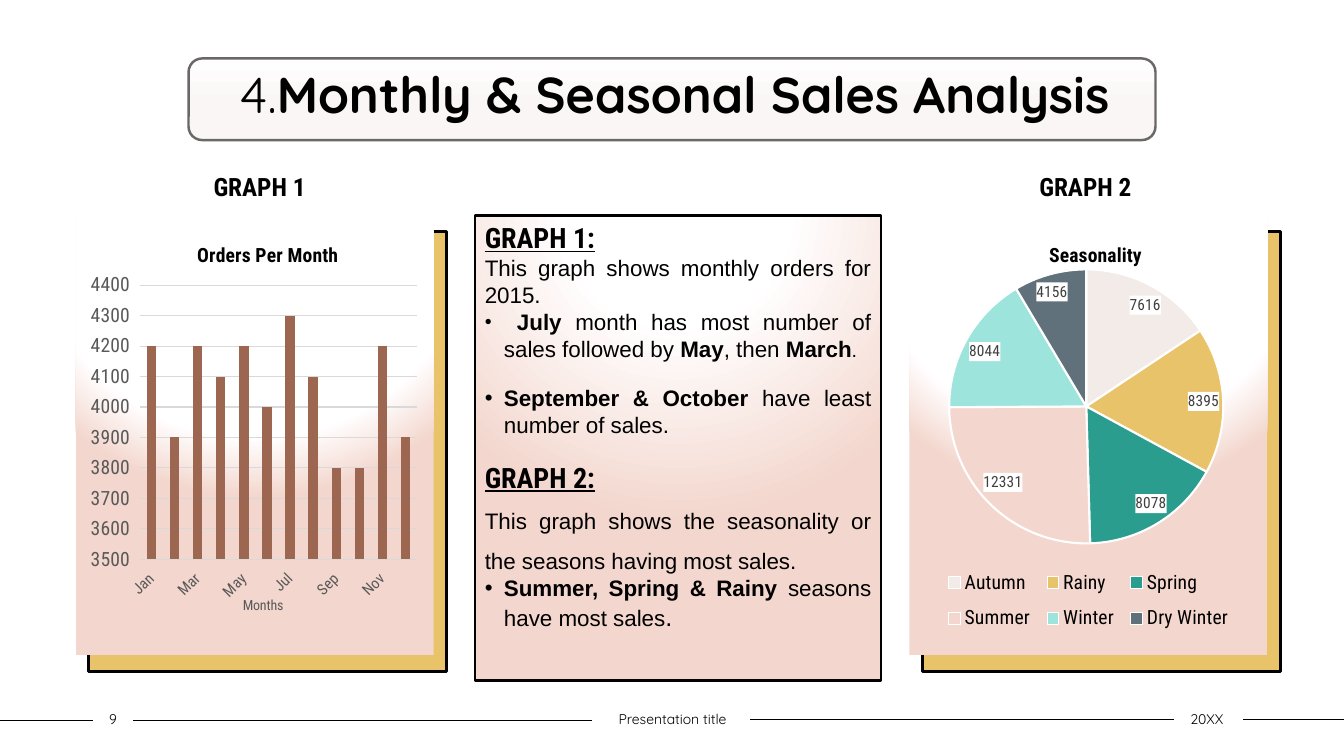
from lxml.etree import SubElement
from pptx import Presentation
from pptx.chart.data import CategoryChartData
from pptx.dml.color import RGBColor
from pptx.enum.chart import XL_CHART_TYPE, XL_LABEL_POSITION, XL_LEGEND_POSITION
from pptx.enum.shapes import MSO_CONNECTOR, MSO_SHAPE
from pptx.enum.text import MSO_ANCHOR, PP_ALIGN
from pptx.oxml import parse_xml
from pptx.oxml.ns import nsdecls, qn
from pptx.util import Inches, Pt

BLACK = RGBColor(0x00, 0x00, 0x00)
WHITE = RGBColor(0xFF, 0xFF, 0xFF)
GOLD = RGBColor(0xE9, 0xC3, 0x69)
PINK = RGBColor(0xF3, 0xD6, 0xCD)
BROWN = RGBColor(0x9C, 0x66, 0x51)
DARK_GREY = RGBColor(0x40, 0x40, 0x40)
AXIS_GREY = RGBColor(0x59, 0x59, 0x59)
GRID_GREY = RGBColor(0xD9, 0xD9, 0xD9)
PLATE_GREY = RGBColor(0x6B, 0x67, 0x66)
PLATE_STOPS = [(0, RGBColor(0xFE, 0xFE, 0xFE)), (58, RGBColor(0xFA, 0xF6, 0xF5)),
               (74, RGBColor(0xFA, 0xF6, 0xF5)), (100, RGBColor(0xFB, 0xF9, 0xF8))]
CHART_STOPS = [(0, WHITE), (78, WHITE), (100, PINK)]
NOTES_STOPS = [(0, WHITE), (35, WHITE), (100, PINK)]
LINEAR = '<a:lin ang="5400000" scaled="0"/>'
RADIAL = ('<a:path path="circle"><a:fillToRect l="50000" t="-80000" '
          'r="50000" b="180000"/></a:path>')

HEADING_FONT, CONDENSED, BODY_FONT = "Quicksand", "Roboto Condensed", "Arial"
MONTHLY_ORDERS = {"Jan": 4200, "Feb": 3900, "Mar": 4200, "Apr": 4100, "May": 4200,
                  "Jun": 4000, "Jul": 4300, "Aug": 4100, "Sep": 3800, "Oct": 3800,
                  "Nov": 4200, "Dec": 3900}
SEASON_SALES = {"Autumn": 7616, "Rainy": 8395, "Spring": 8078, "Summer": 12331,
                "Winter": 8044, "Dry Winter": 4156}
SEASON_COLORS = [RGBColor(0xF3, 0xEB, 0xE8), GOLD, RGBColor(0x2A, 0x9D, 0x8F), PINK,
                 RGBColor(0x9D, 0xE5, 0xDC), RGBColor(0x60, 0x71, 0x7C)]


def style_font(font, size, name, color=BLACK, bold=False, underline=False):
    font.size, font.name = Pt(size), name
    font.bold, font.underline = bold, underline
    font.color.rgb = color


def add_span(para, text, **style):
    span = para.add_run()
    span.text = text
    style_font(span.font, **style)


def gradient_xml(stops, direction):
    marks = "".join(f'<a:gs pos="{pos * 1000}"><a:srgbClr val="{color}"/></a:gs>'
                    for pos, color in stops)
    return (f'<a:gradFill {nsdecls("a")} rotWithShape="1"><a:gsLst>{marks}</a:gsLst>'
            f'{direction}</a:gradFill>')


def add_panel(slide, kind, place, line_color, line_width, fill=None, gradient=None):
    panel = slide.shapes.add_shape(kind, *map(Inches, place))
    panel.shadow.inherit = False
    if gradient:
        geometry = panel._element.spPr.find(qn("a:prstGeom"))
        geometry.addnext(parse_xml(gradient))
    else:
        panel.fill.solid()
        panel.fill.fore_color.rgb = fill
    panel.line.color.rgb = line_color
    panel.line.width = Pt(line_width)
    return panel


def add_label(slide, text, place, side_inset=0.1, anchor=MSO_ANCHOR.TOP, **style):
    frame = slide.shapes.add_textbox(*map(Inches, place)).text_frame
    frame.word_wrap = True
    frame.vertical_anchor = anchor
    frame.margin_left = frame.margin_right = Inches(side_inset)
    para = frame.paragraphs[0]
    para.alignment = PP_ALIGN.CENTER
    add_span(para, text, **style)


def add_rule(slide, left, right, y):
    rule = slide.shapes.add_connector(MSO_CONNECTOR.STRAIGHT, Inches(left), Inches(y),
                                      Inches(right), Inches(y))
    rule.line.color.rgb = BLACK
    rule.line.width = Pt(1)
    SubElement(rule._element.spPr, qn("a:effectLst"))


def set_layout(element, inner=False, **fractions):
    """Place a chart part by fractions of the chart's size."""
    for old in element.findall(qn("c:layout")):
        element.remove(old)
    target = '<c:layoutTarget val="inner"/>' if inner else ""
    sizes = "".join(f'<c:{key} val="{value}"/>' for key, value in fractions.items())
    layout = parse_xml(
        f'<c:layout {nsdecls("c")}><c:manualLayout>{target}<c:xMode val="edge"/>'
        f'<c:yMode val="edge"/>{sizes}</c:manualLayout></c:layout>')
    overlay = element.find(qn("c:overlay"))
    if overlay is None:
        element.insert(0, layout)
    else:
        overlay.addprevious(layout)


def set_title(owner, text, x, y, **style):
    owner.has_title = True
    title = owner.chart_title if hasattr(owner, "chart_title") else owner.axis_title
    add_span(title.text_frame.paragraphs[0], text, **style)
    set_layout(title._element, x=x, y=y)


def add_chart(slide, kind, values, left, title, title_x, plot):
    data = CategoryChartData()
    data.categories = list(values)
    data.add_series("Series 1", list(values.values()))
    chart = slide.shapes.add_chart(kind, Inches(left), Inches(2.14), Inches(3.55),
                                   Inches(4.36), data).chart
    style_font(chart.font, 10, CONDENSED)
    set_title(chart, title, title_x, 0.05, size=14, name=CONDENSED, bold=True)
    chart.has_legend = False
    space = chart._chartSpace
    space.find(qn("c:chart")).addnext(parse_xml(
        f'<c:spPr {nsdecls("c", "a")}>{gradient_xml(CHART_STOPS, RADIAL)}'
        '<a:ln><a:noFill/></a:ln></c:spPr>'))
    x, y, w, h = plot
    set_layout(space.find(".//" + qn("c:plotArea")), inner=True, x=x, y=y, w=w, h=h)
    return chart


def add_orders_chart(slide):
    chart = add_chart(slide, XL_CHART_TYPE.COLUMN_STACKED, MONTHLY_ORDERS, 0.75,
                      "Orders Per Month", 0.33, (0.18, 0.158, 0.774, 0.624))
    plot = chart.plots[0]
    plot.vary_by_categories = False
    plot.gap_width, plot.overlap = 150, 100
    bars = plot.series[0].format.fill
    bars.solid()
    bars.fore_color.rgb = BROWN
    for axis, size in ((chart.category_axis, 11), (chart.value_axis, 14)):
        style_font(axis.tick_labels.font, size, CONDENSED, AXIS_GREY)
        axis.format.line.fill.background()
    months, orders = chart.category_axis, chart.value_axis
    set_title(months, "Months", 0.46, 0.86, size=10, name=CONDENSED, color=AXIS_GREY)
    months._element.find(qn("c:txPr")).find(qn("a:bodyPr")).set("rot", "-2700000")
    orders.minimum_scale, orders.maximum_scale, orders.major_unit = 3500, 4400, 100
    orders.major_gridlines.format.line.color.rgb = GRID_GREY
    orders.major_gridlines.format.line.width = Pt(0.75)


def add_season_chart(slide):
    chart = add_chart(slide, XL_CHART_TYPE.PIE, SEASON_SALES, 9.02,
                      "Seasonality", 0.38, (0.111, 0.122, 0.766, 0.624))
    plot = chart.plots[0]
    plot.vary_by_categories = True
    for index, color in enumerate(SEASON_COLORS):
        wedge = plot.series[0].points[index].format
        wedge.fill.solid()
        wedge.fill.fore_color.rgb = color
        wedge.line.color.rgb = WHITE
        wedge.line.width = Pt(1.5)
    labels = plot.series[0].data_labels
    labels.show_value = True
    labels.position = XL_LABEL_POSITION.BEST_FIT
    style_font(labels.font, 11, CONDENSED, DARK_GREY)
    labels._element.find(qn("c:txPr")).addprevious(parse_xml(
        f'<c:spPr {nsdecls("c", "a")}><a:solidFill><a:srgbClr val="{WHITE}"/>'
        '</a:solidFill></c:spPr>'))
    chart.has_legend = True
    chart.legend.position = XL_LEGEND_POSITION.RIGHT
    chart.legend.include_in_layout = False
    style_font(chart.legend.font, 14, CONDENSED)
    set_layout(chart.legend._element, x=0.08, y=0.78, w=0.84, h=0.19)


def add_note(frame, spans, bullet=False, before=0, spacing=None):
    """Add a justified paragraph of (text, size, bold) spans."""
    para = frame.paragraphs[0] if not frame.text else frame.add_paragraph()
    para.alignment = PP_ALIGN.JUSTIFY
    if before:
        para.space_before = Pt(before)
    if spacing:
        para.line_spacing = spacing
    if bullet:
        settings = para._p.get_or_add_pPr()
        settings.set("marL", str(Inches(0.19)))
        settings.set("indent", str(Inches(-0.19)))
        SubElement(settings, qn("a:buFont")).set("typeface", BODY_FONT)
        SubElement(settings, qn("a:buChar")).set("char", "•")
    for text, size, bold in spans:
        heading = size == 20
        add_span(para, text, size=size, bold=bold, underline=heading,
                 name=CONDENSED if heading else BODY_FONT)


def add_notes_panel(slide):
    panel = add_panel(slide, MSO_SHAPE.RECTANGLE, (4.71, 2.14, 4.03, 4.61), BLACK, 1.75,
                      gradient=gradient_xml(NOTES_STOPS, RADIAL))
    frame = panel.text_frame
    frame.word_wrap = True
    frame.vertical_anchor = MSO_ANCHOR.TOP
    add_note(frame, [("GRAPH 1:", 20, True)])
    add_note(frame, [("This graph shows monthly orders for 2015.", 16, False)])
    add_note(frame, [(" ", 14, True), ("July", 16, True),
                     (" month has most number of sales followed by ", 16, False),
                     ("May", 16, True), (", then ", 16, False), ("March", 16, True),
                     (".", 14, False)], bullet=True)
    add_note(frame, [("September & October ", 16, True),
                     ("have least number of sales.", 16, False)], bullet=True, before=16)
    add_note(frame, [("GRAPH 2:", 20, True)], before=16)
    add_note(frame, [("This graph shows the seasonality or the seasons having most sales.",
                      16, False)], spacing=1.5)
    add_note(frame, [("Summer, Spring & Rainy ", 16, True),
                     ("seasons have most sales", 16, False), (".", 18, False)], bullet=True)


def add_title(slide):
    add_panel(slide, MSO_SHAPE.ROUNDED_RECTANGLE, (1.87, 0.58, 9.59, 0.81), PLATE_GREY, 1.75,
              gradient=gradient_xml(PLATE_STOPS, LINEAR))
    title = slide.shapes.title
    slide.shapes._spTree.append(title._element)
    title.left, title.top, title.width, title.height = map(Inches, (0.92, 0.58, 11.54, 0.81))
    title.text_frame.vertical_anchor = MSO_ANCHOR.TOP
    para = title.text_frame.paragraphs[0]
    para.alignment = PP_ALIGN.CENTER
    add_span(para, "4.", size=36, name=HEADING_FONT)
    add_span(para, "Monthly & Seasonal Sales Analysis", size=36, name=HEADING_FONT, bold=True)


def add_footer(slide):
    for left, right, y in ((0, 0.92, 7.15), (1.32, 5.87, 7.15),
                           (7.44, 11.64, 7.14), (12.33, 13.33, 7.14)):
        add_rule(slide, left, right, y)
    for text, left, width in (("9", 0.92, 0.4), ("Presentation title", 5.87, 1.6),
                              ("20XX", 11.62, 0.7)):
        add_label(slide, text, (left, 7, width, 0.27), side_inset=0,
                  anchor=MSO_ANCHOR.MIDDLE, size=10, name=HEADING_FONT)


def main():
    deck = Presentation()
    deck.slide_width, deck.slide_height = Inches(13.33), Inches(7.5)
    slide = deck.slides.add_slide(deck.slide_layouts[5])
    add_footer(slide)
    for left in (0.88, 9.15):
        add_panel(slide, MSO_SHAPE.RECTANGLE, (left, 2.3, 3.55, 4.36), BLACK, 2, fill=GOLD)
    add_title(slide)
    add_season_chart(slide)
    add_orders_chart(slide)
    for text, left in (("GRAPH 1", 1.41), ("GRAPH 2", 9.6)):
        add_label(slide, text, (left, 1.65, 2.33, 0.4), size=18, name=CONDENSED, bold=True)
    add_notes_panel(slide)
    deck.save("out.pptx")


if __name__ == "__main__":
    main()
